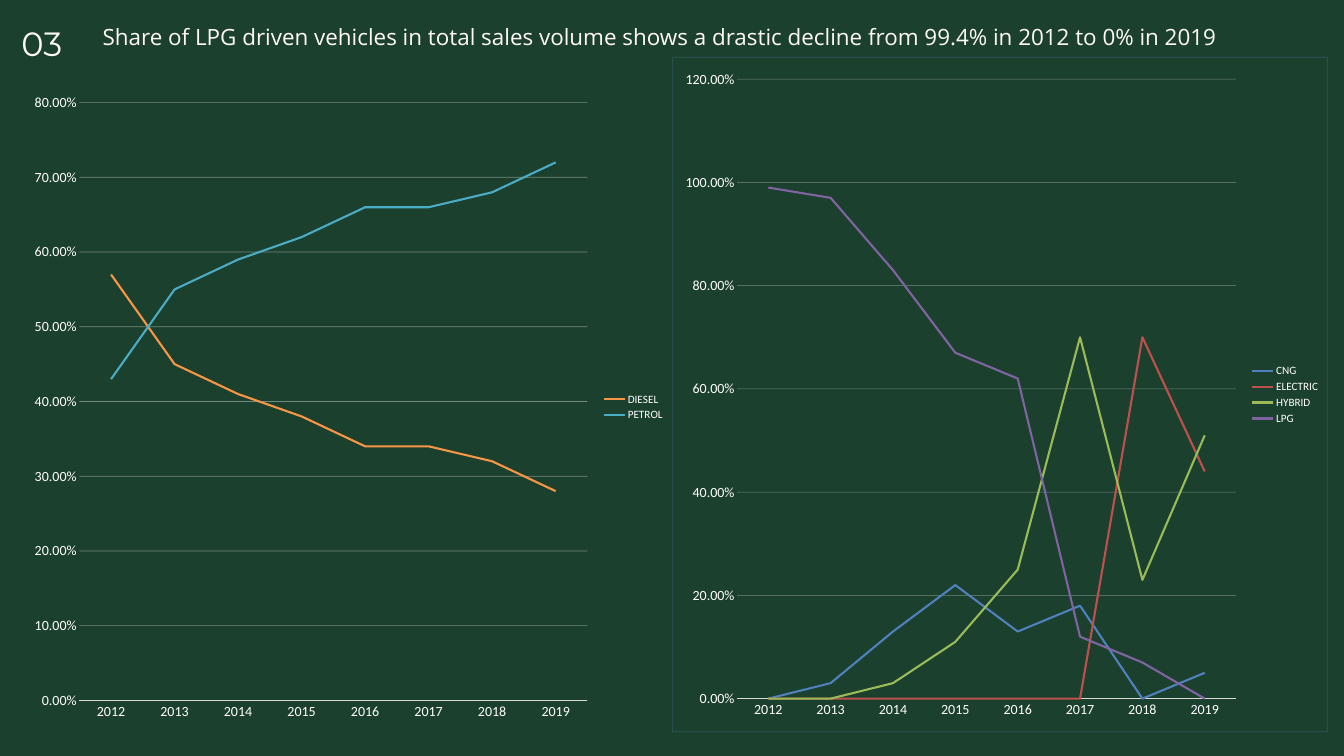
from dataclasses import dataclass

from lxml import etree
from pptx import Presentation
from pptx.chart import data as chart_data
from pptx.dml.color import RGBColor
from pptx.enum import chart as charts, text
from pptx.oxml import ns, parse_xml
from pptx.util import Pt

BACKGROUND = RGBColor(0x1C, 0x40, 0x2E)
CREAM = RGBColor(0xFF, 0xFA, 0xF4)
WHITE = RGBColor(0xFF, 0xFF, 0xFF)
AXIS_GREY = RGBColor(0xD9, 0xD9, 0xD9)
BLUE = RGBColor(0x4F, 0x81, 0xBD)
RED = RGBColor(0xC0, 0x50, 0x4D)
GREEN = RGBColor(0x9B, 0xBB, 0x59)
PURPLE = RGBColor(0x80, 0x64, 0xA2)
AQUA = RGBColor(0x4B, 0xAC, 0xC6)
ORANGE = RGBColor(0xF7, 0x96, 0x46)

YEARS = [str(year) for year in range(2012, 2020)]


@dataclass(frozen=True)
class Area:
    left: float
    top: float
    width: float
    height: float


@dataclass(frozen=True)
class FuelSeries:
    name: str
    shares: tuple[float, ...]
    color: RGBColor


@dataclass(frozen=True)
class ShareChart:
    frame: Area
    plot: Area
    maximum: float
    step: float
    fuels: tuple[FuelSeries, ...]
    bordered: bool = False


@dataclass(frozen=True)
class Caption:
    words: str
    area: Area
    font: str
    size: float
    leading: float


TITLE = Caption(
    "Share of LPG driven vehicles in total sales volume shows a drastic "
    "decline from 99.4% in 2012 to 0% in 2019",
    Area(110, 5, 1312.5, 43), "Open Sans", 24, 48.8)
NUMBER = Caption("03", Area(23, 6, 55.5, 55.5), "Montserrat", 36, 61.4)

CHARTS = (
    ShareChart(
        Area(23, 87, 697, 698.5), Area(85, 110, 544.5, 640.5), 0.8, 0.1,
        (FuelSeries("DIESEL", (0.57, 0.45, 0.41, 0.38, 0.34, 0.34, 0.32, 0.28), ORANGE),
         FuelSeries("PETROL", (0.43, 0.55, 0.59, 0.62, 0.66, 0.66, 0.68, 0.72), AQUA))),
    ShareChart(
        Area(720, 61, 702.5, 723.5), Area(789.5, 84.5, 535, 664.5), 1.2, 0.2,
        (FuelSeries("CNG", (0, 0.03, 0.13, 0.22, 0.13, 0.18, 0, 0.05), BLUE),
         FuelSeries("ELECTRIC", (0, 0, 0, 0, 0, 0, 0.7, 0.44), RED),
         FuelSeries("HYBRID", (0, 0, 0.03, 0.11, 0.25, 0.7, 0.23, 0.51), GREEN),
         FuelSeries("LPG", (0.99, 0.97, 0.83, 0.67, 0.62, 0.12, 0.07, 0), PURPLE)),
        bordered=True),
)


def write_caption(box, caption: Caption) -> None:
    area = caption.area
    box.left, box.top = Pt(area.left), Pt(area.top)
    box.width, box.height = Pt(area.width), Pt(area.height)
    frame = box.text_frame
    frame.word_wrap = True
    frame.auto_size = text.MSO_AUTO_SIZE.NONE
    frame.vertical_anchor = text.MSO_ANCHOR.TOP
    frame.margin_left = frame.margin_right = 0
    frame.margin_top = frame.margin_bottom = 0
    para = frame.paragraphs[0]
    para.alignment = text.PP_ALIGN.LEFT
    para.line_spacing = Pt(caption.leading)
    span = para.add_run()
    span.text = caption.words
    span.font.name = caption.font
    span.font.size = Pt(caption.size)
    span.font.color.rgb = CREAM


def style_font(font, size: float, color: RGBColor = WHITE) -> None:
    font.name = "Calibri"
    font.size = Pt(size)
    font.color.rgb = color


def clear_fill(bordered: bool):
    line = (f'<a:solidFill><a:srgbClr val="{BLUE}"><a:alpha val="35000"/>'
            '</a:srgbClr></a:solidFill>' if bordered else '<a:noFill/>')
    return parse_xml(
        f'<c:spPr {ns.nsdecls("c", "a")}><a:noFill/>'
        f'<a:ln w="{Pt(0.75)}">{line}</a:ln></c:spPr>')


def place_plot(chart, share: ShareChart) -> None:
    plot_area = chart.element.find(".//" + ns.qn("c:plotArea"))
    for old in plot_area.findall(ns.qn("c:layout")):
        plot_area.remove(old)
    frame, plot = share.frame, share.plot
    layout = etree.Element(ns.qn("c:layout"))
    manual = etree.SubElement(layout, ns.qn("c:manualLayout"))
    settings = {
        "layoutTarget": "inner", "xMode": "edge", "yMode": "edge",
        "x": (plot.left - frame.left) / frame.width,
        "y": (plot.top - frame.top) / frame.height,
        "w": plot.width / frame.width,
        "h": plot.height / frame.height,
    }
    for tag, value in settings.items():
        etree.SubElement(manual, ns.qn(f"c:{tag}"), val=str(value))
    plot_area.insert(0, layout)
    plot_area.append(clear_fill(False))


def style_axes(chart, share: ShareChart) -> None:
    for axis in (chart.category_axis, chart.value_axis):
        axis.major_tick_mark = charts.XL_TICK_MARK.NONE
        axis.minor_tick_mark = charts.XL_TICK_MARK.NONE
        style_font(axis.tick_labels.font, 15)
    category_line = chart.category_axis.format.line
    category_line.color.rgb = AXIS_GREY
    category_line.width = Pt(0.75)
    values = chart.value_axis
    values.minimum_scale, values.maximum_scale = 0, share.maximum
    values.major_unit = share.step
    values.format.line.fill.background()
    values.tick_labels.number_format = "0.00%"
    values.tick_labels.number_format_is_linked = False
    grid_line = values.major_gridlines.format.line
    grid_line.color.rgb = WHITE
    grid_line.width = Pt(0.75)
    grid = chart.element.find(".//" + ns.qn("c:majorGridlines"))
    color = grid.find(".//" + ns.qn("a:srgbClr"))
    etree.SubElement(color, ns.qn("a:alpha"), val="39000")


def draw_chart(page, share: ShareChart) -> None:
    table = chart_data.CategoryChartData(number_format="0.00%")
    table.categories = YEARS
    for fuel in share.fuels:
        table.add_series(fuel.name, fuel.shares)
    area = share.frame
    chart = page.shapes.add_chart(
        charts.XL_CHART_TYPE.LINE, Pt(area.left), Pt(area.top),
        Pt(area.width), Pt(area.height), table).chart
    chart.has_title = False
    style_font(chart.font, 10)
    chart.has_legend = True
    chart.legend.position = charts.XL_LEGEND_POSITION.RIGHT
    chart.legend.include_in_layout = False
    style_font(chart.legend.font, 12)
    chart.plots[0].vary_by_categories = False
    for series, fuel in zip(chart.plots[0].series, share.fuels):
        series.smooth = False
        series.marker.style = charts.XL_MARKER_STYLE.NONE
        series.format.line.color.rgb = fuel.color
        series.format.line.width = Pt(2.25)
    style_axes(chart, share)
    place_plot(chart, share)
    chart.element.find(ns.qn("c:chart")).addnext(clear_fill(share.bordered))


def main() -> None:
    deck = Presentation()
    deck.slide_width, deck.slide_height = Pt(1440), Pt(810)
    page = deck.slides.add_slide(deck.slide_layouts[5])
    page.background.fill.solid()
    page.background.fill.fore_color.rgb = BACKGROUND
    write_caption(page.shapes.title, TITLE)
    write_caption(page.shapes.add_textbox(0, 0, 0, 0), NUMBER)
    for share in CHARTS:
        draw_chart(page, share)
    deck.save("out.pptx")


if __name__ == "__main__":
    main()
